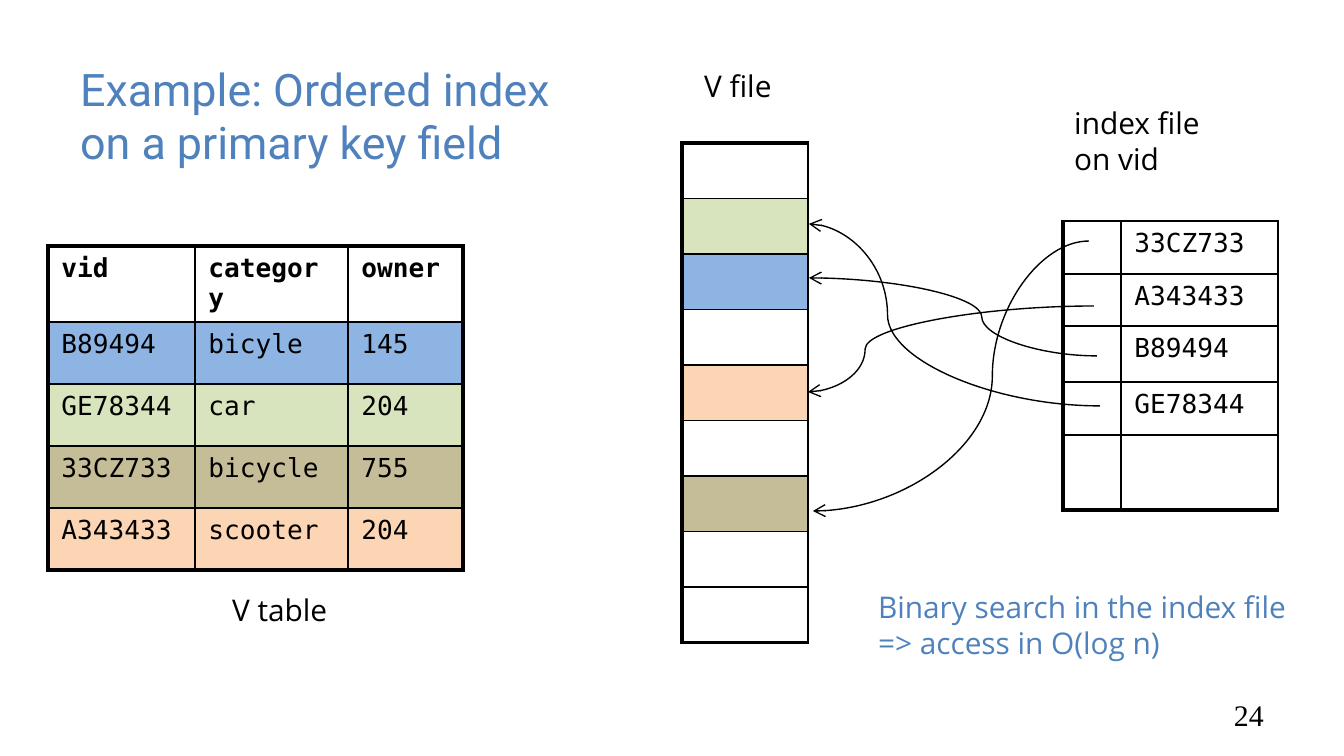
from lxml import etree
from pptx import Presentation
from pptx import util as u
from pptx.dml.color import RGBColor
from pptx.enum import shapes, text
from pptx.oxml import ns

HUES = {"ink": "000000", "title": "4F81BD", "white": "FFFFFF", "blue": "8EB4E3",
        "green": "D7E4BD", "tan": "C4BD97", "peach": "FCD5B5"}
SANS, MONO = "Open Sans", "DejaVu Sans Mono"


def px(n):
    return u.Emu(round(n * 914400 / 134.4))


def rgb(hue):
    return RGBColor.from_string(HUES[hue])


class Deck:
    """Holds the style and the current slide, and draws its elements."""

    def __init__(self, wide, high):
        self.prs = Presentation()
        self.prs.slide_width, self.prs.slide_height = px(wide), px(high)
        self.slide = self.prs.slides.add_slide(self.prs.slide_layouts[6])

    def style(self, para, size, face, hue="ink", bold=False):
        font = para.font
        font.size, font.name, font.bold = u.Pt(size), face, bold
        font.color.rgb = rgb(hue)

    def label(self, box, lines, size=16, face=SANS, hue="ink",
              anchor=text.MSO_ANCHOR.TOP, align=text.PP_ALIGN.LEFT):
        frame = self.slide.shapes.add_textbox(*map(px, box)).text_frame
        frame.word_wrap, frame.vertical_anchor = True, anchor
        frame.text = lines
        for para in frame.paragraphs:
            para.alignment = align
            self.style(para, size, face, hue)

    def edge(self, cell, side, width):
        line = etree.SubElement(cell._tc.get_or_add_tcPr(), ns.qn("a:ln" + side),
                                w=str(u.Pt(width)))
        fill = etree.SubElement(line, ns.qn("a:solidFill"))
        etree.SubElement(fill, ns.qn("a:srgbClr"), val=HUES["ink"])

    def table(self, left, top, cols, rows, cells, hues, thick, head=False):
        frame = self.slide.shapes.add_table(len(rows), len(cols), px(left), px(top),
                                            px(sum(cols)), px(sum(rows)))
        grid = frame.table
        grid.first_row, grid.horz_banding = head, False
        for col, wide in zip(grid.columns, cols):
            col.width = px(wide)
        for r, high in enumerate(rows):
            grid.rows[r].height = px(high)
            for c in range(len(cols)):
                cell = grid.cell(r, c)
                cell.text = cells[r][c]
                self.style(cell.text_frame.paragraphs[0], 14, MONO,
                           bold=head and r == 0)
                outer = {"L": c == 0, "R": c == len(cols) - 1,
                         "T": r == 0, "B": r == len(rows) - 1}
                for side, rim in outer.items():
                    self.edge(cell, side, 2.25 if rim and side in thick else 1)
                cell.fill.solid()
                cell.fill.fore_color.rgb = rgb(hues[r])

    def curve(self, start, end, bend):
        link = self.slide.shapes.add_connector(
            shapes.MSO_CONNECTOR.CURVE, *map(px, start + end))
        link.line.color.rgb, link.line.width = rgb("ink"), u.Pt(0.75)
        etree.SubElement(link.line._get_or_add_ln(), ns.qn("a:tailEnd"), type="arrow")
        props = link._element.spPr
        etree.SubElement(props, ns.qn("a:effectLst"))
        guides = props.find(ns.qn("a:prstGeom")).get_or_add_avLst()
        etree.SubElement(guides, ns.qn("a:gd"), name="adj1",
                         fmla=f"val {round(bend * 100000)}")


deck = Deck(1344, 756)
deck.label((67, 42, 536, 146), "Example: Ordered index on a primary key field",
           24, "Roboto", "title", text.MSO_ANCHOR.MIDDLE)
deck.label((964, 688, 313, 51), "24", 16, "Times New Roman",
           anchor=text.MSO_ANCHOR.BOTTOM, align=text.PP_ALIGN.RIGHT)

deck.table(48, 246, [147, 153, 115], [74] + [62] * 4,
           [("vid", "category", "owner"), ("B89494", "bicyle", "145"),
            ("GE78344", "car", "204"), ("33CZ733", "bicycle", "755"),
            ("A343433", "scooter", "204")],
           ["white", "blue", "green", "tan", "peach"], "LTRB", head=True)
blocks = ["white", "green", "blue", "white", "peach", "white", "tan", "white", "white"]
deck.table(682, 143, [126], [500 / 9] * 9, [[""]] * 9, blocks, "LTB")
keys = ["33CZ733", "A343433", "B89494", "GE78344", ""]
deck.table(1063, 221, [58, 157], [53, 52, 56, 53, 75],
           [("", key) for key in keys], ["white"] * 5, "LB")

for start, end, bend in [((1089, 241), (813, 511), 0.35),
                         ((1094, 306), (808, 392), 0.8),
                         ((1097, 356), (809, 278), 0.4),
                         ((1100, 406), (809, 224), 0.73)]:
    deck.curve(start, end, bend)

deck.label((219, 585, 129, 50), "V table")
deck.label((691, 61, 102, 50), "V file")
deck.label((1061, 98, 164, 86), "index file\non vid")
deck.label((865, 582, 461, 86), "Binary search in the index file\n=> access in O(log n)",
           hue="title")
deck.prs.save("out.pptx")
